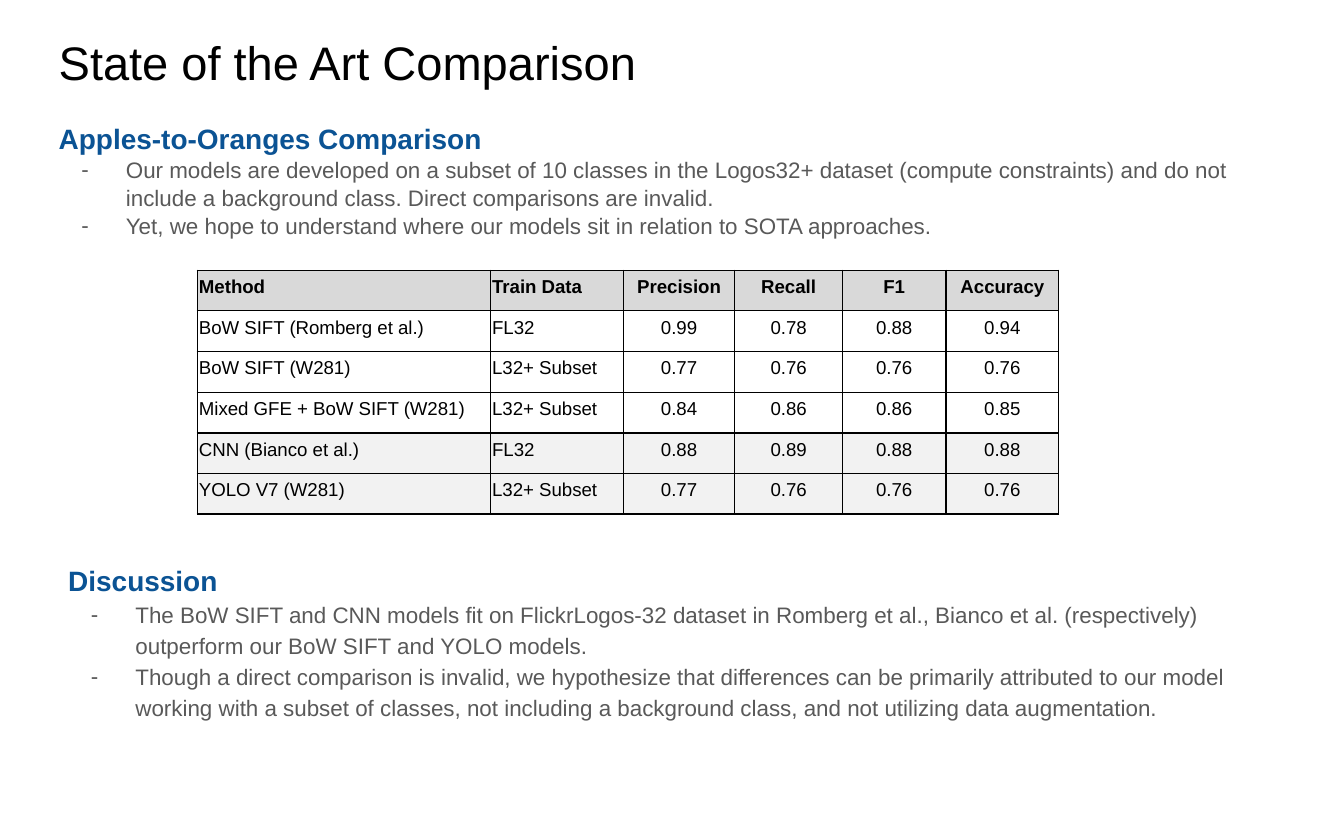
"""Build the State of the Art Comparison slide."""
from lxml import etree
from pptx import Presentation
from pptx import util as u
from pptx.dml import color
from pptx.enum import text
from pptx.oxml import ns

COLORS = {"black": "000000", "heading": "0B5394", "body": "595959",
          "header": "D9D9D9", "shaded": "F2F2F2"}


def style(paragraph, size, color_name, bold=False, spacing=1.0):
    paragraph.font.name = "Arial"
    paragraph.font.size = u.Pt(size)
    paragraph.font.bold = bold
    paragraph.font.color.rgb = color.RGBColor.from_string(COLORS[color_name])
    paragraph.line_spacing = spacing


def add_border(cell, side, width):
    properties = cell._tc.get_or_add_tcPr()
    line = etree.SubElement(properties, ns.qn(f"a:ln{side}"), w=str(u.Pt(width)))
    fill = etree.SubElement(line, ns.qn("a:solidFill"))
    etree.SubElement(fill, ns.qn("a:srgbClr"), val=COLORS["black"])


presentation = Presentation()
presentation.slide_width = u.Cm(25.4)
presentation.slide_height = u.Cm(15.88)
slide = presentation.slides.add_slide(presentation.slide_layouts[6])

sections = [
    (0.86, 0.33, 1.68, 1.0, "State of the Art Comparison", []),
    (0.86, 2.01, 2.84, 1.05, "Apples-to-Oranges Comparison", [
        "Our models are developed on a subset of 10 classes in the Logos32+ dataset "
        "(compute constraints) and do not include a background class. "
        "Direct comparisons are invalid.",
        "Yet, we hope to understand where our models sit in relation to SOTA approaches.",
    ]),
    (1.04, 10.31, 3.91, 1.15, "Discussion", [
        "The BoW SIFT and CNN models fit on FlickrLogos-32 dataset in Romberg et al., "
        "Bianco et al. (respectively) outperform our BoW SIFT and YOLO models.",
        "Though a direct comparison is invalid, we hypothesize that differences can be "
        "primarily attributed to our model working with a subset of classes, not "
        "including a background class, and not utilizing data augmentation.",
    ]),
]
for left, top, height, spacing, heading, bullets in sections:
    shape = slide.shapes.add_textbox(u.Cm(left), u.Cm(top), u.Cm(23.67), u.Cm(height))
    frame = shape.text_frame
    frame.word_wrap = True
    frame.margin_left = frame.margin_right = u.Cm(0.25)
    frame.margin_top = frame.margin_bottom = u.Cm(0.25)
    paragraph = frame.paragraphs[0]
    paragraph.text = heading
    if bullets:
        style(paragraph, 15, "heading", True, spacing)
    else:
        frame.vertical_anchor = text.MSO_ANCHOR.MIDDLE
        style(paragraph, 25.2, "black")
    for bullet in bullets:
        paragraph = frame.add_paragraph()
        paragraph.text = bullet
        properties = paragraph._p.get_or_add_pPr()
        properties.set("marL", str(u.Cm(1.27)))
        properties.set("indent", str(u.Cm(-0.84)))
        bullet_color = etree.SubElement(properties, ns.qn("a:buClr"))
        etree.SubElement(bullet_color, ns.qn("a:srgbClr"), val=COLORS["body"])
        etree.SubElement(properties, ns.qn("a:buFont"), typeface="Arial")
        etree.SubElement(properties, ns.qn("a:buChar"), char="-")
        style(paragraph, 12, "body", spacing=spacing)

rows = [
    ("Method", "Train Data", "Precision", "Recall", "F1", "Accuracy"),
    ("BoW SIFT (Romberg et al.)", "FL32", "0.99", "0.78", "0.88", "0.94"),
    ("BoW SIFT (W281)", "L32+ Subset", "0.77", "0.76", "0.76", "0.76"),
    ("Mixed GFE + BoW SIFT (W281)", "L32+ Subset", "0.84", "0.86", "0.86", "0.85"),
    ("CNN (Bianco et al.)", "FL32", "0.88", "0.89", "0.88", "0.88"),
    ("YOLO V7 (W281)", "L32+ Subset", "0.77", "0.76", "0.76", "0.76"),
]
row_fills = ["header", None, None, None, "shaded", "shaded"]
column_widths = [5.54, 2.51, 2.11, 2.03, 1.96, 2.13]
row_height = 0.66
table = slide.shapes.add_table(
    len(rows), len(column_widths), u.Cm(3.73), u.Cm(5.11),
    u.Cm(sum(column_widths)), u.Cm(row_height * len(rows))).table
table.first_row = table.horz_banding = False
for column, width in zip(table.columns, column_widths):
    column.width = u.Cm(width)

for row_index, (values, fill_name) in enumerate(zip(rows, row_fills)):
    table.rows[row_index].height = u.Cm(row_height)
    for column_index, value in enumerate(values):
        cell = table.cell(row_index, column_index)
        cell.vertical_anchor = text.MSO_ANCHOR.BOTTOM
        cell.margin_left = cell.margin_right = cell.margin_top = u.Cm(0.03)
        cell.margin_bottom = u.Cm(0.25)
        heavy_sides = {"L": column_index == 0, "R": column_index == len(values) - 1,
                       "T": row_index in (0, 4), "B": row_index in (3, 5)}
        for side, heavy in heavy_sides.items():
            add_border(cell, side, 1 if heavy else 0.68)
        if fill_name:
            cell.fill.solid()
            cell.fill.fore_color.rgb = color.RGBColor.from_string(COLORS[fill_name])
        else:
            cell.fill.background()
        numeric = column_index >= 2
        paragraph = cell.text_frame.paragraphs[0]
        paragraph.text = value
        paragraph.alignment = text.PP_ALIGN.CENTER if numeric else text.PP_ALIGN.LEFT
        style(paragraph, 10, "black", row_index == 0, 1.15 if numeric else 1.0)

presentation.save("out.pptx")
